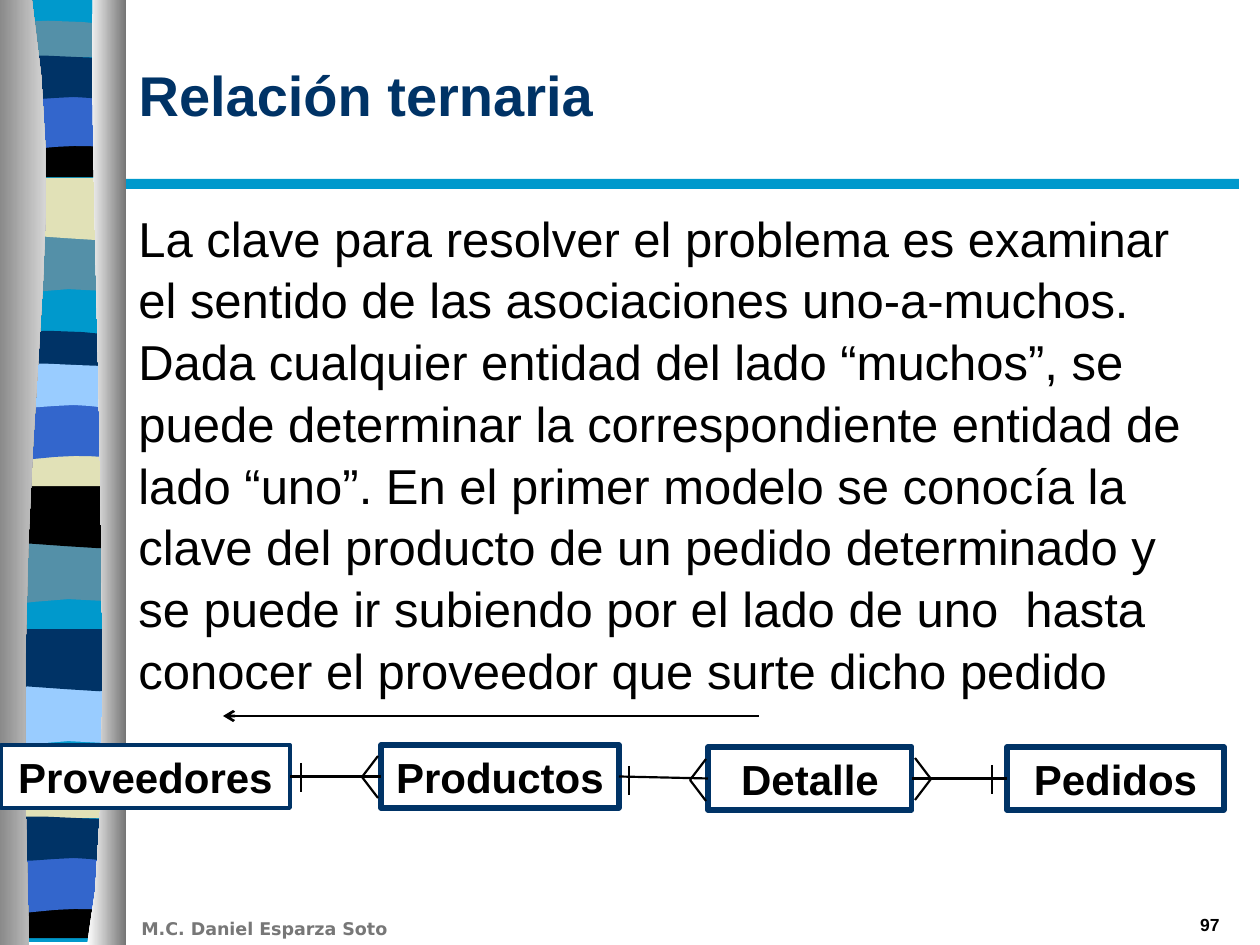
from lxml import etree
from pptx import Presentation
from pptx.dml.color import RGBColor
from pptx.enum.shapes import MSO_CONNECTOR, MSO_SHAPE
from pptx.enum.text import MSO_ANCHOR, PP_ALIGN
from pptx.oxml.ns import qn
from pptx.util import Pt

RECT, LINE = MSO_SHAPE.RECTANGLE, MSO_CONNECTOR.STRAIGHT
LEFT, MID, RIGHT = PP_ALIGN.LEFT, PP_ALIGN.CENTER, PP_ALIGN.RIGHT
TOP, CENTER = MSO_ANCHOR.TOP, MSO_ANCHOR.MIDDLE
PX = 914400 / 126

NAVY, CYAN, TEAL, BLUE = "003366", "0099CC", "5490A8", "3366CC"
CREAM, SKY, BLACK, WHITE, GRAY = "E1E1B7", "99CCFF", "000000", "FFFFFF", "767676"

TITLE = "Relación ternaria"
BODY = (
    "La clave para resolver el problema es examinar el sentido de las "
    "asociaciones uno-a-muchos. Dada cualquier entidad del lado “muchos”, se "
    "puede determinar la correspondiente entidad de lado “uno”. En el primer "
    "modelo se conocía la clave del producto de un pedido determinado y se "
    "puede ir subiendo por el lado de uno  hasta conocer el proveedor que "
    "surte dicho pedido"
)
AUTHOR, PAGE = "M.C. Daniel Esparza Soto", "97"

# Outlines in px: a pair is a straight step, six numbers are a Bézier curve.
WEST, EAST = -6, 123
BANDS = {
    "full": [(EAST, 0), (EAST, 942), (WEST, 942), (WEST, 0)],
    "wave": [(EAST, 0), (EAST, 59), (34, 49, 16, 69, WEST, 59), (WEST, 0)],
    "dip": [(EAST, 0), (EAST, 59), (102, 69, 34, 52, WEST, 59), (WEST, 0)],
    "crest": [(EAST, 6), (EAST, 37), (WEST, 37), (WEST, 6),
              (23, -1, 66, -1, EAST, 6)],
    "bow": [(EAST, 0), (EAST, 41), (WEST, 41), (WEST, 0),
            (74, 6, 97, 0, EAST, 0)],
    "arch": [(EAST, 0), (EAST, 59), (WEST, 59), (WEST, 0)],
    "roll": [(EAST, 6), (EAST, 45), (116, 52, 96, 45, 74, 45),
             (53, 45, 8, 52, WEST, 45), (WEST, 6), (13, 0, 82, 6, 103, 6)],
}
# The lower edge of an arch shows above the bow that lies behind it.
BANDS["arch"][2:3] = [(103, 53, 96, 53, 74, 53), (53, 53, 14, 59, WEST, 59)]
STRIP = [  # band, top, colour; from back to front
    ("full", 0, CYAN),
    ("wave", 233, TEAL), ("dip", 178, CREAM), ("crest", 20, TEAL),
    ("bow", 136, BLACK), ("arch", 93, BLUE), ("roll", 52, NAVY),
    ("wave", 543, TEAL), ("dip", 486, BLACK), ("crest", 330, NAVY),
    ("bow", 445, CREAM), ("arch", 403, BLUE), ("roll", 360, SKY),
    ("wave", 685, SKY), ("dip", 629, NAVY), ("crest", 781, CREAM),
    ("bow", 897, BLACK), ("arch", 856, BLUE), ("roll", 813, NAVY),
]
PILLARS = [  # outline, left colour, right colour
    ([(32, 0), (73, 272, 9, 373, 29, 945), (-12, 945), (-12, 0)], GRAY, "D5D5D5"),
    ([(93, 0), (87, 158, 121, 814, 87, 945), (126, 945), (126, 0)], WHITE, GRAY),
]

ENTITIES = [  # name, left, top, width, fill, line width
    ("Proveedores", 1, 745, 289, WHITE, 2.25),
    ("Productos", 381, 745, 238, None, 3),
    ("Detalle", 708, 747, 204, None, 3),
    ("Pedidos", 1007, 747, 217, None, 3),
]
TALL = 63
LINKS = [  # y, bar x, apex x, foot x
    (777, 301, 362, 378),
    (780, 629, 690, 706),
    (779, 992, 931, 915),
]


def px(*vals):
    return [round(v * PX) for v in vals]


def rgb(code):
    return RGBColor.from_string(code)


def write(shape, text, size, color=BLACK, bold=False, font="Arial",
          align=LEFT, anchor=TOP, wrap=True, space=None):
    frame = shape.text_frame
    frame.word_wrap = wrap
    frame.vertical_anchor = anchor
    para = frame.paragraphs[0]
    para.alignment = align
    para.line_spacing = space
    run = para.add_run()
    run.text = text
    run.font.size, run.font.bold, run.font.name = Pt(size), bold, font
    run.font.color.rgb = rgb(color)


def trace(steps, top, cuts):
    """Turn an outline into EMU points, with each curve cut into short lines."""
    pts = []
    for step in steps:
        if len(step) == 2:
            pts.append(step)
            continue
        ctrl = [pts[-1], step[:2], step[2:4], step[4:]]
        for i in range(1, cuts + 1):
            t = i / cuts
            u = 1 - t
            mix = (u**3, 3 * u * u * t, 3 * u * t * t, t**3)
            pts.append(tuple(sum(m * p[k] for m, p in zip(mix, ctrl))
                             for k in (0, 1)))
    return [tuple(px(x, y + top)) for x, y in pts]


def draw(shapes, steps, top=0, cuts=4):
    pts = trace(steps, top, cuts)
    pen = shapes.build_freeform(*pts[0])
    pen.add_line_segments(pts[1:], close=True)
    shape = pen.convert_to_shape()
    shape.shadow.inherit = False
    shape.line.fill.background()
    return shape


def paint(shape, color):
    shape.fill.solid()
    shape.fill.fore_color.rgb = rgb(color)


def block(shapes, *area, fill=None, line=None, width=1):
    shape = shapes.add_shape(RECT, *px(*area))
    shape.shadow.inherit = False
    if fill:
        paint(shape, fill)
    else:
        shape.fill.background()
    if line:
        shape.line.color.rgb = rgb(line)
        shape.line.width = Pt(width)
    else:
        shape.line.fill.background()
    return shape


def rule(shapes, *ends, width=1.25):
    line = shapes.add_connector(LINE, *px(*ends))
    line.line.color.rgb = rgb(BLACK)
    line.line.width = Pt(width)
    etree.SubElement(line._element.spPr, qn("a:effectLst"))
    return line


def main():
    deck = Presentation()
    deck.slide_width, deck.slide_height = px(1260, 945)
    slide = deck.slides.add_slide(deck.slide_layouts[5])
    shapes = slide.shapes

    for band, top, color in STRIP:
        paint(draw(shapes, BANDS[band], top), color)
    for steps, *colors in PILLARS:
        fill = draw(shapes, steps, cuts=10).fill
        fill.gradient()
        fill.gradient_angle = 0
        for stop, color in zip(fill.gradient_stops, colors):
            stop.color.rgb = rgb(color)
    block(shapes, 126, 179, 1113, 10, fill=CYAN)

    title = shapes.title
    title.left, title.top, title.width, title.height = px(126, 15, 1106, 158)
    write(title, TITLE, 32, NAVY, bold=True, anchor=CENTER)
    write(shapes.add_textbox(*px(126, 199, 1106, 725)), BODY, 28, space=1.05)
    write(shapes.add_textbox(*px(129, 912, 357, 33)), AUTHOR, 10, "777777",
          bold=True, font="DejaVu Sans")
    write(shapes.add_textbox(*px(970, 908, 262, 33)), PAGE, 10, bold=True,
          align=RIGHT)

    boxes = []
    for name, left, top, wide, fill, width in ENTITIES:
        box = block(shapes, left, top, wide, TALL, fill=fill, line=NAVY, width=width)
        write(box, name, 24, bold=True, align=MID, anchor=CENTER, wrap=False)
        boxes.append(box)
    for one, two, (y, bar, apex, foot) in zip(boxes, boxes[1:], LINKS):
        link = rule(shapes, bar, y, foot, y)
        link.begin_connect(one, 3)
        link.end_connect(two, 1)
        rule(shapes, bar, y - 14, bar, y + 15)
        for side in (-21, 21):
            rule(shapes, apex, y, foot, y + side)

    arrow = rule(shapes, 759, 716, 223, 716, width=1.5)
    etree.SubElement(arrow._element.spPr.find(qn("a:ln")), qn("a:tailEnd"), type="arrow")
    deck.save("out.pptx")


if __name__ == "__main__":
    main()
